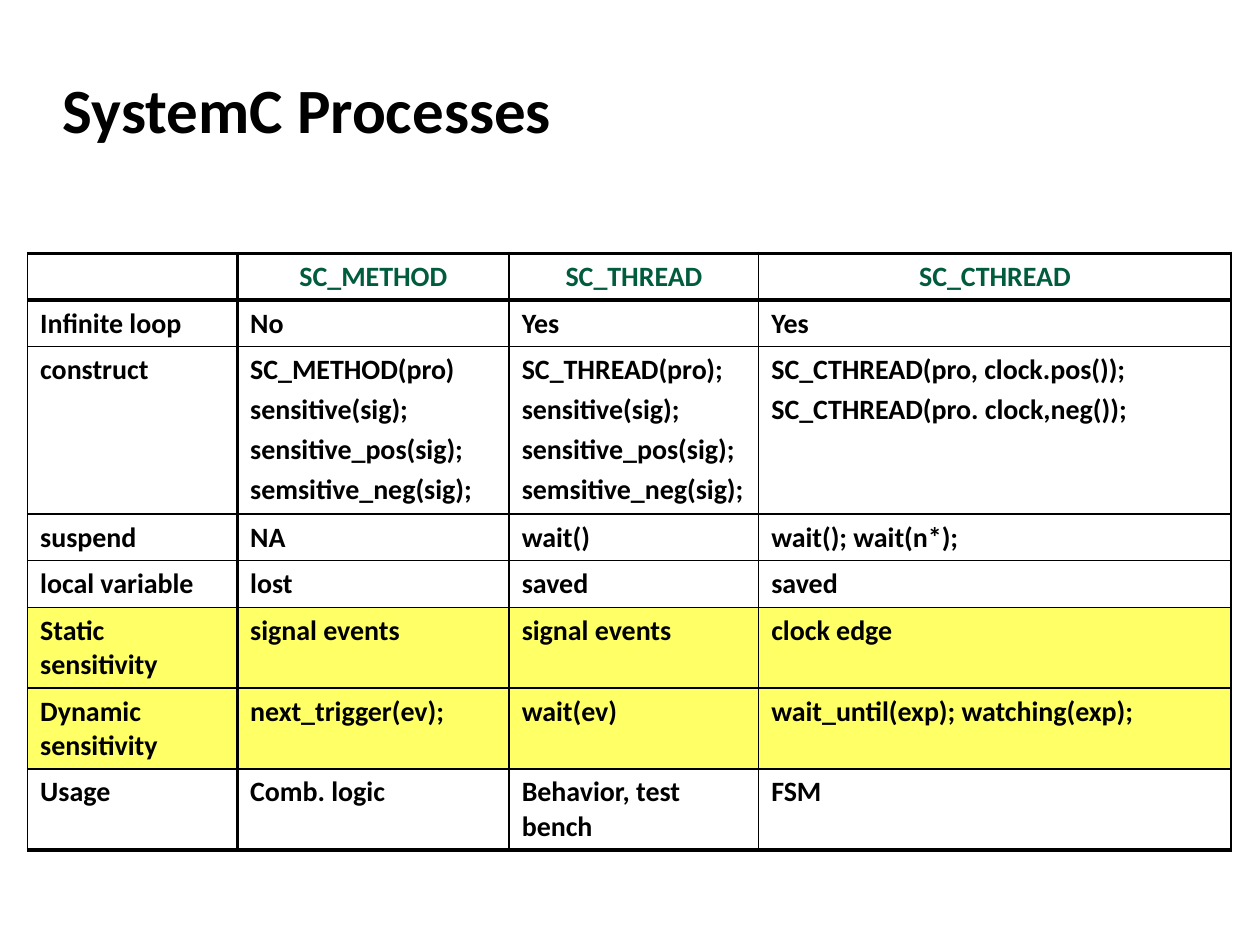
import pptx
import pptx.dml.color
import pptx.enum.text
import pptx.oxml
import pptx.oxml.ns
import pptx.util
from dataclasses import dataclass

Pt = pptx.util.Pt
Align = pptx.enum.text.PP_ALIGN
Anchor = pptx.enum.text.MSO_ANCHOR


@dataclass
class Theme:
    face: str = "Calibri"
    ink: str = "000000"
    head: str = "005C3C"
    paper: str = "FFFFFF"
    mark: str = "FFFF66"
    title: float = 36
    body: float = 16
    thin: float = 1
    thick: float = 2.25
    gap: float = 3.2


def apply(target, values):
    for name, value in values.items():
        setattr(target, name, value)


def color(code):
    return pptx.dml.color.RGBColor.from_string(code)


class Deck:
    def __init__(self, theme, width, height):
        self.theme = theme
        self.show = pptx.Presentation()
        apply(self.show, {"slide_width": Pt(width), "slide_height": Pt(height)})
        self.slide = self.show.slides.add_slide(self.show.slide_layouts[6])

    def label(self, para, text, size, tint):
        run = para.add_run()
        run.text = text
        apply(run.font, {"name": self.theme.face, "size": Pt(size), "bold": True})
        run.font.color.rgb = color(tint)

    def title(self, text, box):
        frame = self.slide.shapes.add_textbox(*map(Pt, box)).text_frame
        apply(frame, {
            "word_wrap": True, "vertical_anchor": Anchor.MIDDLE,
            "margin_left": Pt(7.2), "margin_right": Pt(7.2),
            "margin_top": Pt(7.2), "margin_bottom": Pt(3.6),
        })
        self.label(frame.paragraphs[0], text, self.theme.title, self.theme.ink)

    def border(self, cell, sides):
        props = cell._tc.get_or_add_tcPr()
        for index, (side, width) in enumerate(sides.items()):
            line = pptx.oxml.parse_xml(
                f'<a:ln{side} {pptx.oxml.ns.nsdecls("a")} w="{Pt(width)}">'
                f'<a:solidFill><a:srgbClr val="{self.theme.ink}"/></a:solidFill>'
                f'</a:ln{side}>')
            props.insert(index, line)

    def fill(self, cell, text, tint, align):
        pad = 3.6 if text else 0
        apply(cell, {
            "margin_left": Pt(7.2), "margin_right": Pt(7.2),
            "margin_top": Pt(pad), "margin_bottom": Pt(pad),
        })
        frame = cell.text_frame
        for index, line in enumerate(text.splitlines()):
            para = frame.add_paragraph() if index else frame.paragraphs[0]
            apply(para, {"alignment": align, "space_before": Pt(self.theme.gap if index else 0)})
            self.label(para, line, self.theme.body, tint)

    def table(self, rows, spot, widths, heights, marked):
        theme = self.theme
        last = len(rows) - 1
        frame = self.slide.shapes.add_table(
            len(rows), len(widths), *map(Pt, (*spot, sum(widths), sum(heights))))
        grid = frame.table
        apply(grid, {"first_row": False, "horz_banding": False})
        for col, width in zip(grid.columns, widths):
            col.width = Pt(width)
        for row, height in zip(grid.rows, heights):
            row.height = Pt(height)

        def weight(heavy):
            return theme.thick if heavy else theme.thin

        for r, row in enumerate(rows):
            for c, text in enumerate(row):
                cell = grid.cell(r, c)
                tint, align = (theme.ink, Align.LEFT) if r else (theme.head, Align.CENTER)
                self.fill(cell, text, tint, align)
                cell.fill.solid()
                cell.fill.fore_color.rgb = color(theme.mark if r in marked else theme.paper)
                self.border(cell, {
                    "L": weight(c == 1), "R": weight(c == 0),
                    "T": weight(r < 2), "B": weight(r in (0, last)),
                })


def main():
    calls = "sensitive(sig);\nsensitive_pos(sig);\nsemsitive_neg(sig);"
    rows = [
        ("", "SC_METHOD", "SC_THREAD", "SC_CTHREAD"),
        ("Infinite loop", "No", "Yes", "Yes"),
        ("construct", f"SC_METHOD(pro)\n{calls}", f"SC_THREAD(pro);\n{calls}",
         "SC_CTHREAD(pro, clock.pos());\nSC_CTHREAD(pro. clock,neg());"),
        ("suspend", "NA", "wait()", "wait(); wait(n*);"),
        ("local variable", "lost", "saved", "saved"),
        ("Static sensitivity", "signal events", "signal events", "clock edge"),
        ("Dynamic sensitivity", "next_trigger(ev);", "wait(ev)",
         "wait_until(exp); watching(exp);"),
        ("Usage", "Comb. logic", "Behavior, test bench", "FSM"),
    ]
    one, two, four = 26.7, 46.2, 95.6
    deck = Deck(Theme(), 720, 540)
    deck.title("SystemC Processes", (28.8, 30.2, 661.7, 59.8))
    deck.table(rows, (15.8, 144.8), (120, 155.2, 142.6, 270),
               (one, one, four, one, one, two, two, two), marked=(5, 6))
    deck.show.save("out.pptx")


if __name__ == "__main__":
    main()
